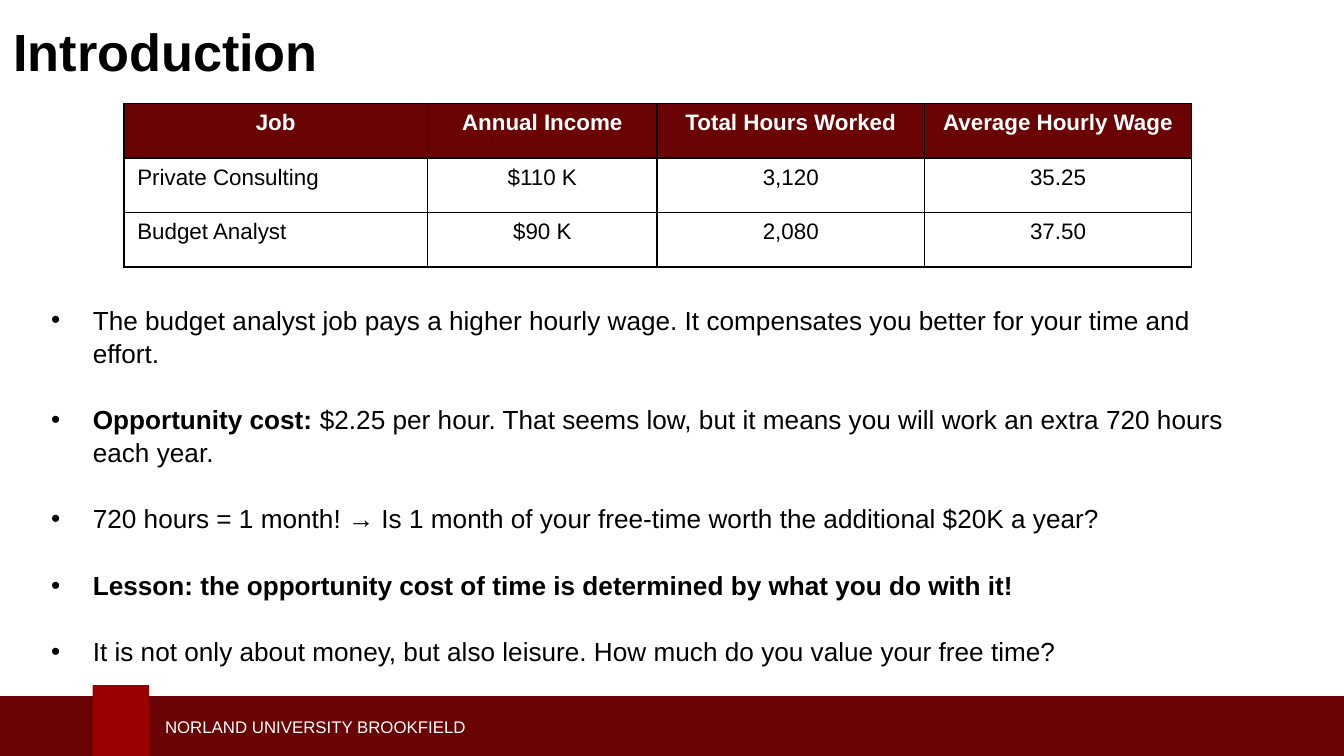
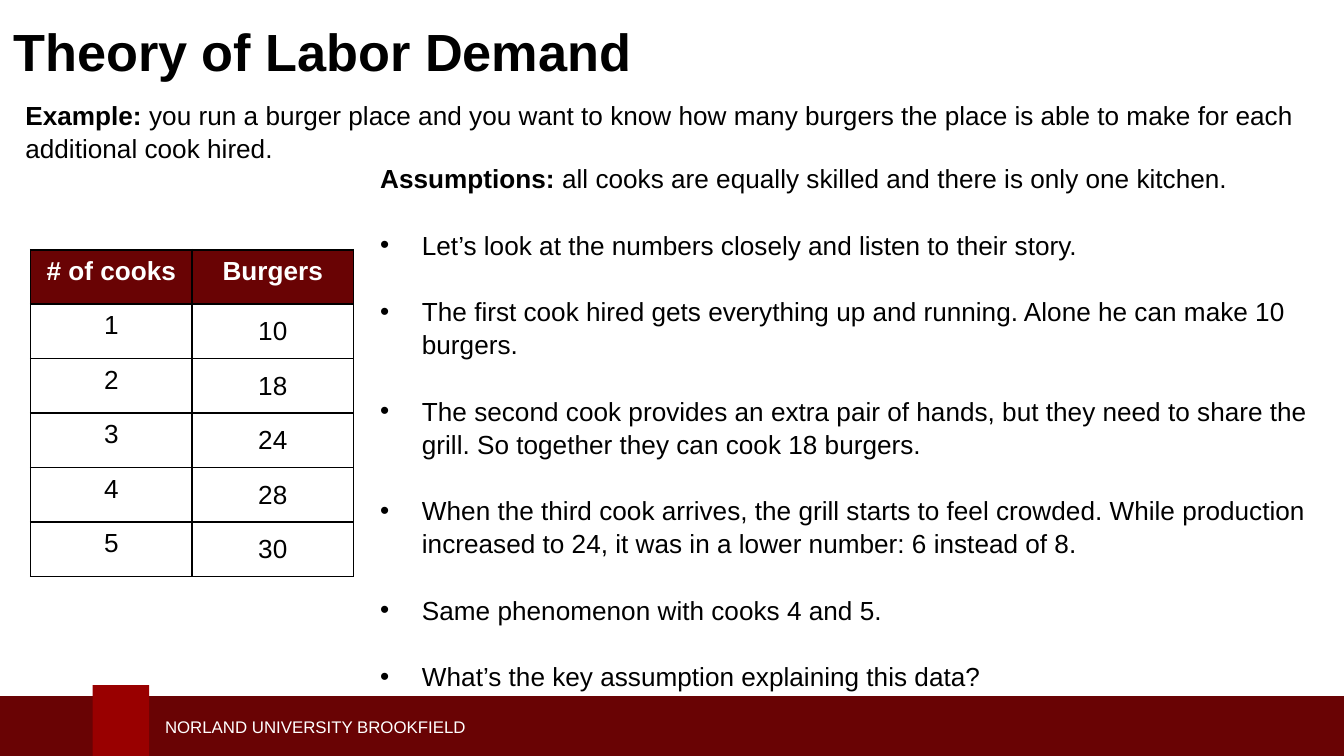
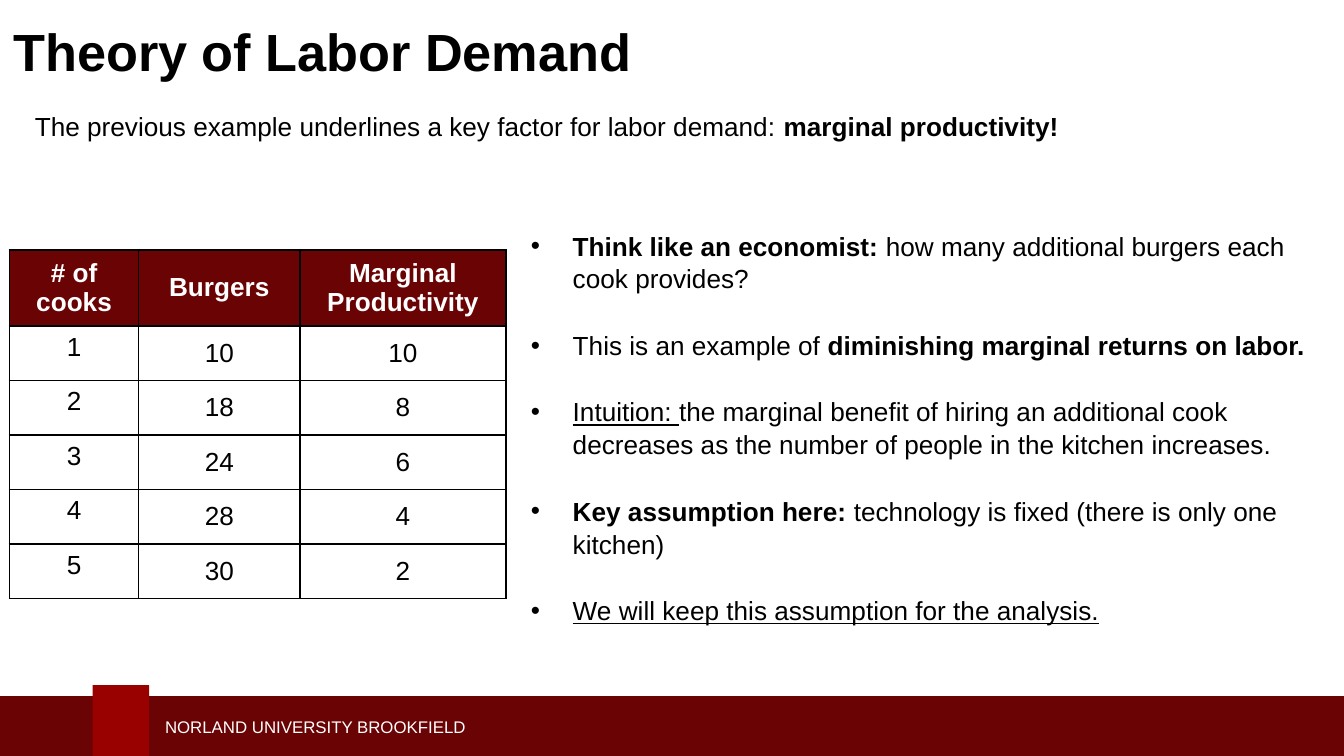
from lxml import etree
from pptx import Presentation
from pptx import util as u
from pptx.dml.color import RGBColor
from pptx.enum import shapes, text
from pptx.oxml.ns import qn

COLORS = {"band": "690304", "accent": "990000", "ink": "000000", "paper": "FFFFFF"}
FONT = "Arial"
UNIVERSITY = "NORLAND UNIVERSITY BROOKFIELD"
BOLD, UNDERLINE = "bold", "underline"
TOP, MIDDLE = text.MSO_ANCHOR.TOP, text.MSO_ANCHOR.MIDDLE
LEFT, CENTER = text.PP_ALIGN.LEFT, text.PP_ALIGN.CENTER

# Boxes are left, top, width, height in centimetres
PAGE = (25.4, 14.29)
TITLE_BOX = (0, 0, 25.4, 1.93)
BAND_BOX = (-0.08, 13.16, 25.63, 1.27)
ACCENT_BOX = (1.75, 12.95, 1.07, 1.47)
UNIVERSITY_BOX = (2.87, 13.41, 10.03, 0.64)
ROW_HEIGHT = 1.03
BULLET_INDENT = 0.79

# Content: a paragraph is a list of runs, a run is a string or (string, style)
SLIDES = [
    {
        "title": "Introduction",
        "body_box": (0.71, 5.59, 23.42, 6.4),
        "bullets": [
            ["The budget analyst job pays a higher hourly wage. It compensates you "
             "better for your time and effort."],
            [("Opportunity cost: ", BOLD),
             "$2.25 per hour. That seems low, but it means you will work an extra "
             "720 hours each year."],
            ["720 hours = 1 month! → Is 1 month of your free-time worth the "
             "additional $20K a year?"],
            [("Lesson: the opportunity cost of time is determined by what you do "
              "with it!", BOLD)],
            ["It is not only about money, but also leisure. How much do you value "
             "your free time?"],
        ],
        "table": {
            "at": (2.34, 1.96), "columns": (5.74, 4.34, 5.05, 5.05), "size": 12,
            "header_height": ROW_HEIGHT, "header_anchor": TOP,
            "value_anchor": TOP, "label_align": LEFT,
            "rows": [
                ("Job", "Annual Income", "Total Hours Worked", "Average Hourly Wage"),
                ("Private Consulting", "$110 K", "3,120", "35.25"),
                ("Budget Analyst", "$90 K", "2,080", "37.50"),
            ],
        },
    },
    {
        "title": "Theory of Labor Demand",
        "intro_box": (0.23, 1.73, 24.59, 1.45),
        "intro": [("Example: ", BOLD),
                  "you run a burger place and you want to know how many burgers the "
                  "place is able to make for each additional cook hired."],
        "body_box": (6.93, 2.92, 18.21, 10.08),
        "lead": [("Assumptions:", BOLD),
                 " all cooks are equally skilled and there is only one kitchen."],
        "bullets": [
            ["Let’s look at the numbers closely and listen to their story."],
            ["The first cook hired gets everything up and running. Alone he can make "
             "10 burgers."],
            ["The second cook provides an extra pair of hands, but they need to share "
             "the grill. So together they can cook 18 burgers."],
            ["When the third cook arrives, the grill starts to feel crowded. While "
             "production increased to 24, it was in a lower number: 6 instead of 8."],
            ["Same phenomenon with cooks 4 and 5."],
            ["What’s the key assumption explaining this data?"],
        ],
        "table": {
            "at": (0.58, 4.72), "columns": (3.05, 3.05), "size": 14,
            "header_height": ROW_HEIGHT, "header_anchor": TOP,
            "value_anchor": MIDDLE, "label_align": CENTER,
            "rows": [("# of cooks", "Burgers"),
                     (1, 10), (2, 18), (3, 24), (4, 28), (5, 30)],
        },
    },
    {
        "title": "Theory of Labor Demand",
        "intro_box": (0.41, 1.93, 24.59, 0.86),
        "intro": ["The previous example underlines a key factor for labor demand: ",
                  ("marginal productivity!", BOLD)],
        "body_box": (9.78, 4.19, 15.21, 7.62),
        "bullets": [
            [("Think like an economist: ", BOLD),
             "how many additional burgers each cook provides?"],
            ["This is an example of ",
             ("diminishing marginal returns on labor.", BOLD)],
            [("Intuition: ", UNDERLINE),
             "the marginal benefit of hiring an additional cook decreases as the "
             "number of people in the kitchen increases."],
            [("Key assumption here: ", BOLD),
             "technology is fixed (there is only one kitchen)"],
            [("We will keep this assumption for the analysis.", UNDERLINE)],
        ],
        "table": {
            "at": (0.18, 4.72), "columns": (2.44, 3.05, 3.89), "size": 14,
            "header_height": 1.44, "header_anchor": MIDDLE,
            "value_anchor": MIDDLE, "label_align": CENTER,
            "rows": [("# of cooks", "Burgers", "Marginal Productivity"),
                     (1, 10, 10), (2, 18, 8), (3, 24, 6), (4, 28, 4), (5, 30, 2)],
        },
    },
]


def rgb(name):
    return RGBColor.from_string(COLORS[name])


def cm(box):
    return [u.Cm(length) for length in box]


def place(part, box):
    part.left, part.top, part.width, part.height = cm(box)


def style(run, size, color="ink", bold=False, underline=False):
    font = run.font
    font.name, font.size, font.bold, font.underline = FONT, u.Pt(size), bold, underline
    font.color.rgb = rgb(color)


def write_paragraph(paragraph, runs, bulleted=False):
    for item in runs:
        words, mark = (item, None) if isinstance(item, str) else item
        run = paragraph.add_run()
        run.text = words
        style(run, 14, bold=mark == BOLD, underline=mark == UNDERLINE)
    paragraph.line_spacing = 1.05
    paragraph.space_before, paragraph.space_after = u.Pt(12), u.Pt(6)
    properties = paragraph.element.get_or_add_pPr() if hasattr(
        paragraph, "element") else paragraph._p.get_or_add_pPr()
    indent = u.Cm(BULLET_INDENT) if bulleted else 0
    properties.set("marL", str(indent))
    properties.set("indent", str(-indent))
    if bulleted:
        etree.SubElement(properties, qn("a:buChar")).set("char", "•")
    else:
        etree.SubElement(properties, qn("a:buNone"))


def fill_frame(frame, paragraphs):
    """Write (runs, bulleted) pairs into a text frame."""
    frame.word_wrap = True
    frame.auto_size = text.MSO_AUTO_SIZE.NONE
    frame.vertical_anchor = TOP
    for index, (runs, bulleted) in enumerate(paragraphs):
        paragraph = frame.add_paragraph() if index else frame.paragraphs[0]
        write_paragraph(paragraph, runs, bulleted)


def add_borders(cell):
    properties = cell._tc.get_or_add_tcPr()
    for side in ("a:lnL", "a:lnR", "a:lnT", "a:lnB"):
        line = etree.SubElement(properties, qn(side))
        line.set("w", str(u.Pt(1)))
        solid = etree.SubElement(line, qn("a:solidFill"))
        etree.SubElement(solid, qn("a:srgbClr")).set("val", COLORS["ink"])


def add_data_table(slide, data):
    rows, columns = data["rows"], data["columns"]
    heights = [data["header_height"]] + [ROW_HEIGHT] * (len(rows) - 1)
    box = (*data["at"], sum(columns), sum(heights))
    table = slide.shapes.add_table(len(rows), len(columns), *cm(box)).table
    table.horz_banding = False
    for column, width in zip(table.columns, columns):
        column.width = u.Cm(width)
    for row, height in zip(table.rows, heights):
        row.height = u.Cm(height)

    for r, values in enumerate(rows):
        for c, value in enumerate(values):
            cell, header, label = table.cell(r, c), r == 0, c == 0
            add_borders(cell)
            if header:
                cell.fill.solid()
                cell.fill.fore_color.rgb = rgb("band")
                cell.vertical_anchor = data["header_anchor"]
            else:
                cell.fill.background()
                cell.vertical_anchor = TOP if label else data["value_anchor"]
            paragraph = cell.text_frame.paragraphs[0]
            paragraph.text = str(value)
            paragraph.alignment = data["label_align"] if label and not header else CENTER
            style(paragraph.runs[0], data["size"], "paper" if header else "ink", header)


def move_footer_to_layout(slide, layout):
    """Build the footer on a slide, then hand it to the layout all slides share."""
    parts = []
    for box, color in ((BAND_BOX, "band"), (ACCENT_BOX, "accent")):
        block = slide.shapes.add_shape(shapes.MSO_SHAPE.RECTANGLE, *cm(box))
        block.shadow.inherit = False
        block.fill.solid()
        block.fill.fore_color.rgb = rgb(color)
        block.line.fill.background()
        parts.append(block)
    university = slide.shapes.add_textbox(*cm(UNIVERSITY_BOX))
    frame = university.text_frame
    frame.word_wrap, frame.vertical_anchor = True, MIDDLE
    frame.text = UNIVERSITY
    style(frame.paragraphs[0].runs[0], 9, "paper")
    for part in parts + [university]:
        layout.shapes.element.append(part.element)


def prepare_layout(layout):
    # The date, footer and number fields give way to the footer band
    for field in list(layout.placeholders):
        if field.placeholder_format.idx >= 10:
            field.element.getparent().remove(field.element)
    place(layout.placeholders[0], TITLE_BOX)


def add_content_slide(deck, layout, content):
    slide = deck.slides.add_slide(layout)

    # Title
    frame = slide.shapes.title.text_frame
    frame.text = content["title"]
    frame.vertical_anchor = MIDDLE
    frame.auto_size = text.MSO_AUTO_SIZE.NONE
    frame.paragraphs[0].alignment = LEFT
    style(frame.paragraphs[0].runs[0], 28, bold=True)

    # Intro sentence
    if "intro" in content:
        intro = slide.shapes.add_textbox(*cm(content["intro_box"]))
        fill_frame(intro.text_frame, [(content["intro"], False)])

    # Bulleted body, with an optional unbulleted lead
    body = slide.placeholders[1]
    place(body, content["body_box"])
    paragraphs = [(content["lead"], False)] if "lead" in content else []
    paragraphs += [(runs, True) for runs in content["bullets"]]
    fill_frame(body.text_frame, paragraphs)

    add_data_table(slide, content["table"])
    return slide


def main():
    deck = Presentation()
    deck.slide_width, deck.slide_height = cm(PAGE)
    layout = deck.slide_layouts[1]
    prepare_layout(layout)
    made = [add_content_slide(deck, layout, content) for content in SLIDES]
    move_footer_to_layout(made[0], layout)
    deck.save("out.pptx")


if __name__ == "__main__":
    main()
